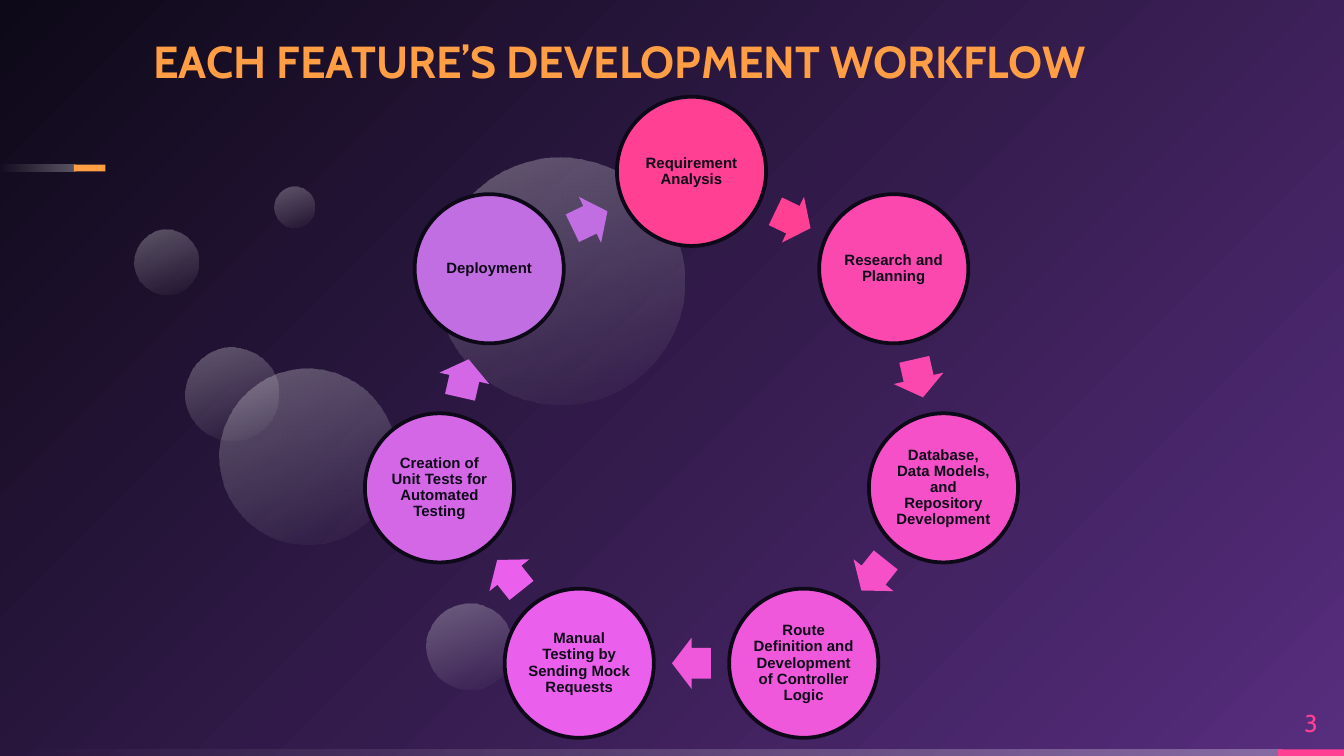
"""Builds a slide with a seven-stage development cycle."""
from dataclasses import dataclass
from math import cos, radians, sin

from lxml.etree import fromstring
from pptx import Presentation
from pptx.dml.color import RGBColor
from pptx.enum.shapes import MSO_SHAPE
from pptx.enum.text import MSO_ANCHOR, MSO_AUTO_SIZE, PP_ALIGN
from pptx.oxml.ns import qn
from pptx.util import Emu, Pt

PX_PER_INCH = 200
EMU_PER_PX = 914400 // PX_PER_INCH
DRAWING_NS = "http://schemas.openxmlformats.org/drawingml/2006/main"
INK, PINK, ORANGE, WHITE = "0E0918", "FF4093", "FF9E44", "FFFFFF"
FADE_STOPS = [(0, WHITE, 30), (100, WHITE, 0)]
FADE_DIRECTION = '<a:lin ang="10800000" scaled="0"/>'
CORNER_DIRECTION = '<a:path path="circle"><a:fillToRect l="100000" t="100000"/></a:path>'
RING_X, RING_Y, RING_RADIUS = 1029, 640, 385
STAGE_SIZE, ARROW_WIDTH, ARROW_HEIGHT = 222, 58, 76


@dataclass
class Box:
    """A rectangle in px."""
    left: int
    top: int
    width: int
    height: int

    def emu(self) -> list[Emu]:
        """Return left, top, width and height in EMU."""
        return [px(n) for n in (self.left, self.top, self.width, self.height)]


@dataclass
class Bubble:
    """A translucent background circle."""
    left: int
    top: int
    size: int


@dataclass
class Stage:
    """A step of the cycle."""
    label: str
    color: str


BUBBLES = [
    Bubble(634, 898, 128),
    Bubble(200, 342, 96),
    Bubble(326, 548, 262),
    Bubble(650, 234, 368),
    Bubble(276, 518, 138),
    Bubble(408, 278, 60),
]
STAGES = [
    Stage("Requirement Analysis", PINK),
    Stage("Research and Planning", "FA48AF"),
    Stage("Database, Data Models, and Repository Development", "F550C7"),
    Stage("Route Definition and Development of Controller Logic", "F058DB"),
    Stage("Manual Testing by Sending Mock Requests", "EA5FEB"),
    Stage("Creation of Unit Tests for Automated Testing", "D367E6"),
    Stage("Deployment", "C06EE2"),
]


def px(length: int) -> Emu:
    """Turn px into EMU."""
    return Emu(length * EMU_PER_PX)


def rgb(color: str) -> RGBColor:
    """Turn a hex string into a colour."""
    return RGBColor.from_string(color)


def paint_gradient(properties, stops: list[tuple[int, str, int]], direction: str) -> None:
    """Replace the solid fill in a properties element by a gradient."""
    stop_list = "".join(
        f'<a:gs pos="{position * 1000}"><a:srgbClr val="{color}">'
        f'<a:alpha val="{opacity * 1000}"/></a:srgbClr></a:gs>'
        for position, color, opacity in stops
    )
    gradient = fromstring(
        f'<a:gradFill xmlns:a="{DRAWING_NS}" rotWithShape="1">'
        f"<a:gsLst>{stop_list}</a:gsLst>{direction}</a:gradFill>"
    )
    properties.replace(properties.find(qn("a:solidFill")), gradient)


def draw_shape(slide, kind: MSO_SHAPE, box: Box, color: str, rotation: float = 0):
    """Draw a flat shape without outline."""
    shape = slide.shapes.add_shape(kind, *box.emu())
    shape.shadow.inherit = False
    shape.fill.solid()
    shape.fill.fore_color.rgb = rgb(color)
    shape.line.fill.background()
    shape.rotation = rotation
    return shape


def draw_faded(slide, kind: MSO_SHAPE, box: Box, rotation: float = 0) -> None:
    """Draw a white shape that fades out."""
    shape = draw_shape(slide, kind, box, WHITE, rotation)
    paint_gradient(shape.element.spPr, FADE_STOPS, FADE_DIRECTION)


def write(shape, text: str, font: str, size: int, color: str, bold: bool,
          align: PP_ALIGN, anchor: MSO_ANCHOR, inset: int = 0, spacing: float = 0.9) -> None:
    """Write one formatted run into a shape."""
    frame = shape.text_frame
    frame.word_wrap = True
    frame.auto_size = MSO_AUTO_SIZE.NONE
    frame.vertical_anchor = anchor
    frame.margin_left = frame.margin_right = px(inset)
    frame.margin_top = frame.margin_bottom = px(inset)
    paragraph = frame.paragraphs[0]
    paragraph.alignment = align
    paragraph.line_spacing = spacing
    run = paragraph.add_run()
    run.text = text
    run.font.name = font
    run.font.size = Pt(size)
    run.font.bold = bold
    run.font.color.rgb = rgb(color)


def ring_box(angle: float, radius: float, width: int, height: int) -> Box:
    """Centre a box on the ring, with the angle clockwise from the top."""
    x = RING_X + radius * sin(radians(angle))
    y = RING_Y - radius * cos(radians(angle))
    return Box(round(x - width / 2), round(y - height / 2), width, height)


def draw_cycle(slide, stages: list[Stage]) -> None:
    """Draw the stages on a ring with an arrow to each next one."""
    step = 360 / len(stages)
    arrow_radius = RING_RADIUS * cos(radians(step / 2))
    for index, stage in enumerate(stages):
        angle = index * step
        circle = draw_shape(slide, MSO_SHAPE.OVAL,
                            ring_box(angle, RING_RADIUS, STAGE_SIZE, STAGE_SIZE), stage.color)
        circle.line.color.rgb = rgb(INK)
        circle.line.width = Pt(2)
        write(circle, stage.label, "Arial", 8, INK, True,
              PP_ALIGN.CENTER, MSO_ANCHOR.MIDDLE, inset=2)
        heading = angle + step / 2
        arrow = draw_shape(slide, MSO_SHAPE.RIGHT_ARROW,
                           ring_box(heading, arrow_radius, ARROW_WIDTH, ARROW_HEIGHT),
                           stage.color, heading)
        arrow.adjustments[0] = 0.6
        arrow.adjustments[1] = 0.5


def main() -> None:
    """Build and save the slide."""
    deck = Presentation()
    deck.slide_width, deck.slide_height = px(2000), px(1125)
    slide = deck.slides.add_slide(deck.slide_layouts[5])
    slide.background.fill.solid()
    paint_gradient(slide.element.find(f".//{qn('p:bgPr')}"),
                   [(0, "572D7E", 100), (100, INK, 100)], CORNER_DIRECTION)

    title = slide.shapes.title
    title.left, title.top, title.width, title.height = Box(228, 46, 1540, 86).emu()
    write(title, "EACH FEATURE’S DEVELOPMENT WORKFLOW", "Cabin", 24, ORANGE, True,
          PP_ALIGN.LEFT, MSO_ANCHOR.BOTTOM)

    draw_faded(slide, MSO_SHAPE.RECTANGLE, Box(0, 1115, 1908, 10))
    draw_shape(slide, MSO_SHAPE.RECTANGLE, Box(1902, 1115, 98, 10), PINK)
    draw_faded(slide, MSO_SHAPE.RECTANGLE, Box(0, 245, 112, 10))
    draw_shape(slide, MSO_SHAPE.RECTANGLE, Box(110, 245, 47, 10), ORANGE)
    page_number = slide.shapes.add_textbox(*Box(1902, 1038, 98, 76).emu())
    write(page_number, "3", "Cabin", 13, PINK, False,
          PP_ALIGN.CENTER, MSO_ANCHOR.MIDDLE, spacing=1.0)

    for bubble in BUBBLES:
        draw_faded(slide, MSO_SHAPE.OVAL,
                   Box(bubble.left, bubble.top, bubble.size, bubble.size), 250)
    draw_cycle(slide, STAGES)
    deck.save("out.pptx")


if __name__ == "__main__":
    main()
